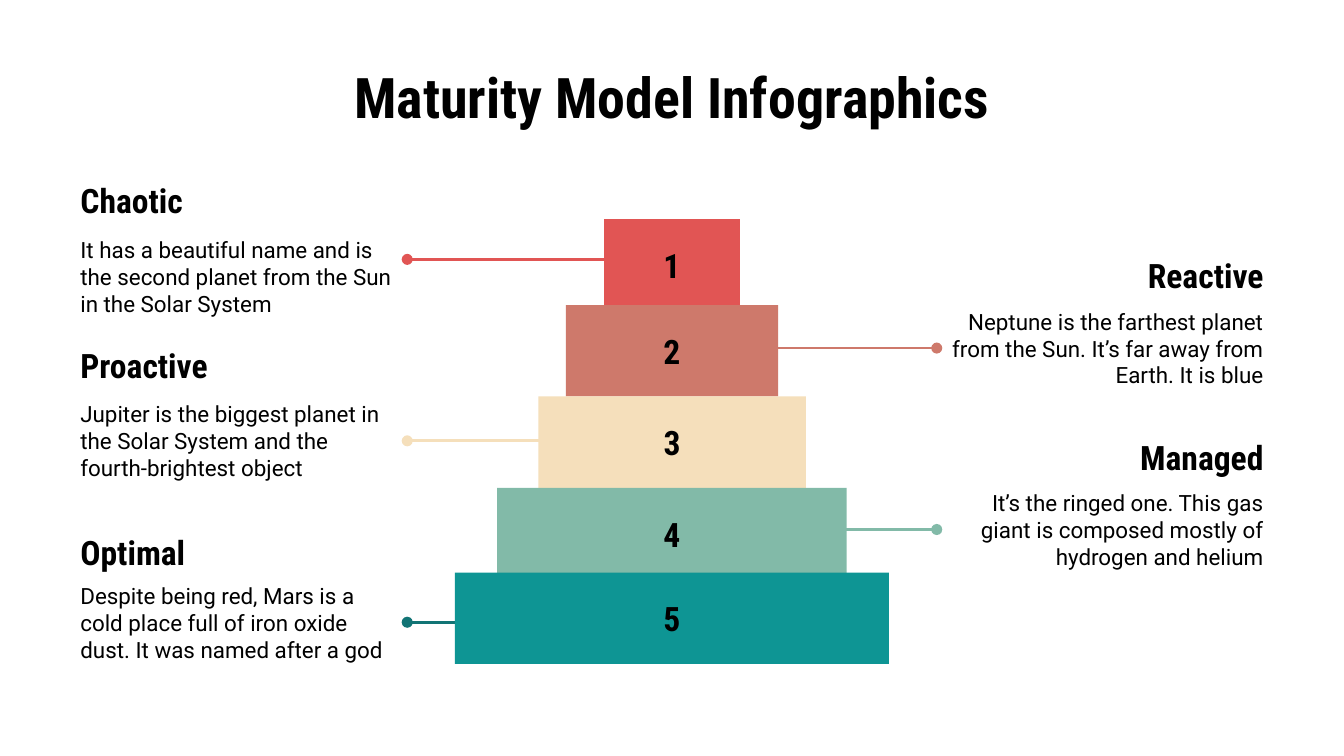
from lxml.etree import SubElement
from pptx import Presentation
from pptx.dml.color import RGBColor
from pptx.enum.shapes import MSO_CONNECTOR, MSO_SHAPE
from pptx.enum.text import MSO_ANCHOR, PP_ALIGN
from pptx.oxml.ns import qn
from pptx.util import Inches, Pt

COLORS = {
    "black": "000000", "red": "E15554", "clay": "CE796B", "sand": "F5DFBB",
    "mint": "82BAA8", "teal": "0E9594", "pine": "127475",
}
HEAD, BODY = "Roboto Condensed", "Roboto"
MID, HIGH = 5, 0.68

STEPS = [
    (1.63, 1.01, "red"),
    (2.27, 1.58, "clay"),
    (2.95, 1.99, "sand"),
    (3.63, 2.6, "mint"),
    (4.26, 3.23, "teal"),
]
NOTES = [
    ("Chaotic", "It has a beautiful name and is the second planet from the Sun in the Solar System",
     "left", 1.27, 1.72, 1.93, 4.69, "red"),
    ("Reactive", "Neptune is the farthest planet from the Sun. It’s far away from Earth. It is blue",
     "right", 1.83, 2.25, 2.59, 5.3, "clay"),
    ("Proactive", "Jupiter is the biggest planet in the Solar System and the fourth-brightest object",
     "left", 2.5, 2.94, 3.28, 4.69, "sand"),
    ("Managed", "It’s the ringed one. This gas giant is composed mostly of hydrogen and helium",
     "right", 3.18, 3.6, 3.94, 5.3, "mint"),
    ("Optimal", "Despite being red, Mars is a cold place full of iron oxide dust. It was named after a god",
     "left", 3.89, 4.29, 4.63, 4.87, "pine"),
]


def color(name):
    """Return the named colour."""
    return RGBColor.from_string(COLORS[name])


def write(shape, text, size=18, font=HEAD, bold=True, align=PP_ALIGN.CENTER):
    """Put formatted text in a shape."""
    frame = shape.text_frame
    frame.word_wrap = True
    frame.vertical_anchor = MSO_ANCHOR.MIDDLE
    frame.margin_left = frame.margin_right = Inches(0.1)
    frame.margin_top = frame.margin_bottom = Inches(0.1)
    para = frame.paragraphs[0]
    para.alignment = align
    run = para.add_run()
    run.text = text
    run.font.size = Pt(size)
    run.font.name = font
    run.font.bold = bold
    run.font.color.rgb = color("black")


def add_text(slide, box, text, **form):
    """Add a text box at left, top, width, height."""
    shape = slide.shapes.add_textbox(*map(Inches, box))
    write(shape, text, **form)
    return shape


def add_line(slide, start, end, y, tint):
    """Add a level line with a dot at its start."""
    line = slide.shapes.add_connector(
        MSO_CONNECTOR.STRAIGHT, Inches(start), Inches(y), Inches(end), Inches(y))
    line.line.color.rgb = color(tint)
    line.line.width = Pt(1.5)
    props = line._element.spPr
    SubElement(props.find(qn("a:ln")), qn("a:headEnd"), type="oval")
    SubElement(props, qn("a:effectLst"))
    return line


def add_note(slide, name, text, side, top, low, y, end, tint):
    """Add a heading, its body and the line to its step."""
    left = side == "left"
    align = PP_ALIGN.LEFT if left else PP_ALIGN.RIGHT
    add_text(slide, (0.5 if left else 8.1, top, 1.4, 0.44), name, align=align)
    body = add_text(slide, (0.5 if left else 6.97, low, 2.53, HIGH), text,
                    size=12, font=BODY, bold=False, align=align)
    line = add_line(slide, 3.03 if left else 6.97, end, y, tint)
    if abs(low + HIGH / 2 - y) < 0.01:
        line.begin_connect(body, 3 if left else 1)


def add_step(group, label, top, width, tint):
    """Add one centred, numbered step."""
    step = group.shapes.add_shape(
        MSO_SHAPE.ROUNDED_RECTANGLE, Inches(MID - width / 2), Inches(top),
        Inches(width), Inches(HIGH))
    step.adjustments[0] = 0
    step.shadow.inherit = False
    step.fill.solid()
    step.fill.fore_color.rgb = color(tint)
    step.line.fill.background()
    write(step, label)


def add_title(slide, text):
    """Place and fill the title."""
    title = slide.shapes.title
    title.left, title.top = Inches(0.5), Inches(0.45)
    title.width, title.height = Inches(9), Inches(0.53)
    write(title, text, size=30)


def main():
    """Build and save the slide."""
    deck = Presentation()
    deck.slide_width = Inches(10)
    deck.slide_height = Inches(10 * 9 / 16)
    slide = deck.slides.add_slide(deck.slide_layouts[5])
    add_title(slide, "Maturity Model Infographics")
    for note in NOTES:
        add_note(slide, *note)
    group = slide.shapes.add_group_shape()
    for num, step in enumerate(STEPS, 1):
        add_step(group, str(num), *step)
    deck.save("out.pptx")


if __name__ == "__main__":
    main()
